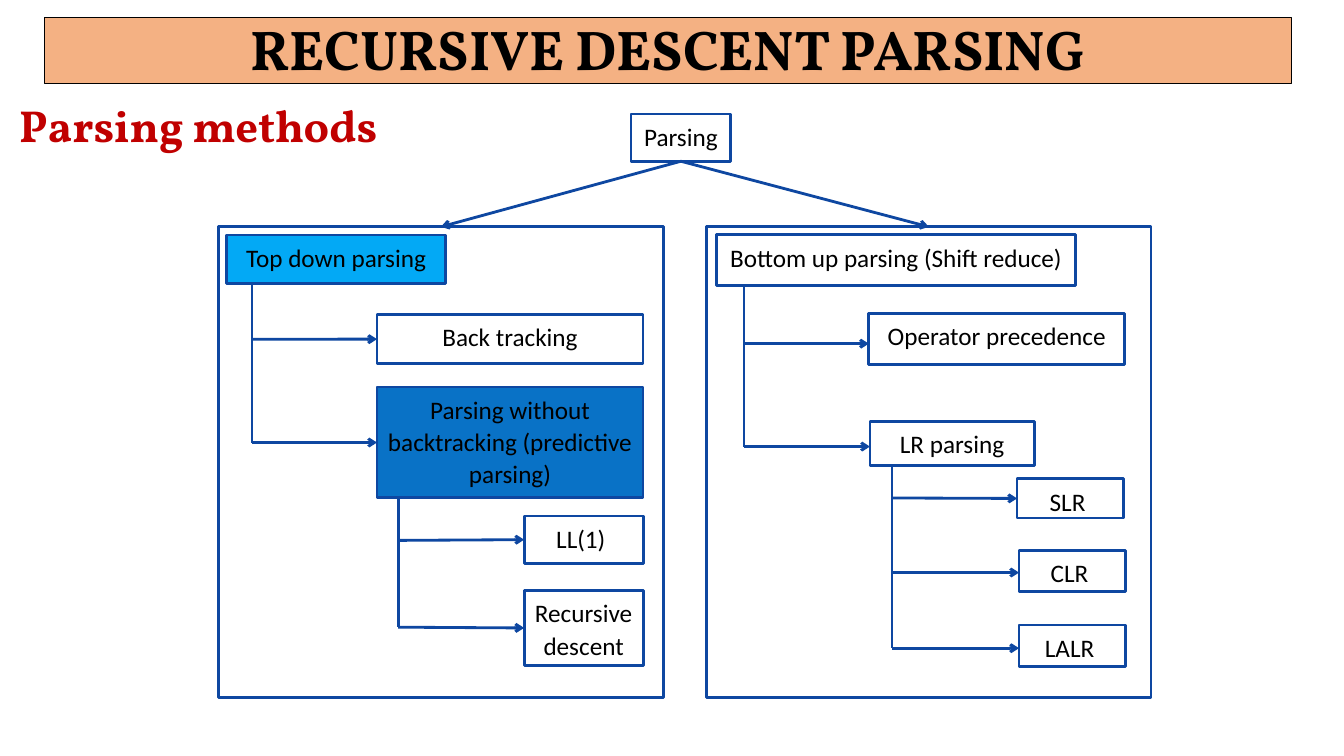
from pptx import Presentation
from pptx.dml.color import RGBColor
from pptx.enum import shapes, text
from pptx.oxml import parse_xml
from pptx.oxml.ns import nsdecls
from pptx.util import Pt

BLACK = RGBColor(0x00, 0x00, 0x00)
RED = RGBColor(0xC0, 0x00, 0x00)
PEACH = RGBColor(0xF4, 0xB1, 0x83)
NAVY = RGBColor(0x0E, 0x47, 0xA1)
SKY = RGBColor(0x03, 0xA9, 0xF5)
BLUE = RGBColor(0x09, 0x72, 0xC6)

TITLE = ("RECURSIVE DESCENT PARSING", (31.7, 12.2, 890.6, 47.5))
SUBTITLE = ("Parsing methods", (6.5, 70.6, 311.8, 56.2))

FRAMES = [(156.2, 162, 317.5, 336.2), (504.7, 162, 317.5, 336.2)]
BOXES = {
    "Parsing": (450.7, 81.4, 71.3, 33.8),
    "Top down parsing": (162, 167.8, 156.2, 34.6),
    "Back tracking": (269.3, 224.6, 190, 35.3),
    "Parsing without backtracking (predictive parsing)": (269.3, 276.5, 190, 79.2),
    "LL(1) ": (374.4, 368.6, 85, 33.8),
    "Recursive\ndescent": (374.4, 421.9, 85, 53.3),
    "Bottom up parsing (Shift reduce)": (511.9, 167.8, 256.3, 36),
    "Operator precedence": (620.6, 223.9, 182.9, 36.7),
    "LR parsing": (621.4, 301, 117.4, 31.7),
    "SLR ": (726.5, 342, 76.3, 28.1),
    "CLR ": (727.9, 393.1, 76.3, 29.5),
    "LALR ": (727.9, 446.4, 76.3, 29.5),
}
FILLS = {
    "Top down parsing": SKY,
    "Parsing without backtracking (predictive parsing)": BLUE,
}
BRANCHES = [
    ("Top down parsing", 180,
     {"Back tracking": 242.3,
      "Parsing without backtracking (predictive parsing)": 316.1}),
    ("Parsing without backtracking (predictive parsing)", 284.4,
     {"LL(1) ": 386, "Recursive\ndescent": 448}),
    ("Bottom up parsing (Shift reduce)", 531.4,
     {"Operator precedence": 245.5, "LR parsing": 319}),
    ("LR parsing", 637.2, {"SLR ": 355.7, "CLR ": 409, "LALR ": 463}),
]
JOIN_TOLERANCE = 1

LABEL_FONT = {"name": "Calibri", "size": Pt(18)}
TITLE_FONT = {"name": "Vollkorn", "size": Pt(40), "bold": True}
SUBTITLE_FONT = {"name": "Vollkorn", "size": Pt(32), "bold": True}
LABEL_PARAGRAPH = {"alignment": text.PP_ALIGN.CENTER, "line_spacing": 1.07}
TITLE_PARAGRAPH = {"alignment": text.PP_ALIGN.CENTER, "line_spacing": 0.9,
                   "space_before": Pt(0)}
SUBTITLE_PARAGRAPH = {"alignment": text.PP_ALIGN.LEFT, "line_spacing": 0.9,
                      "space_before": Pt(0)}
LABEL_FRAME = {"word_wrap": True, "vertical_anchor": text.MSO_ANCHOR.TOP,
               "margin_left": Pt(5), "margin_right": Pt(5)}
HEADING_FRAME = {"word_wrap": True, "vertical_anchor": text.MSO_ANCHOR.TOP,
                 "auto_size": text.MSO_AUTO_SIZE.NONE}


def assign(target, values):
    for name, value in values.items():
        setattr(target, name, value)


def write(shape, words, frame_format, paragraph_format, font_format, color):
    frame = shape.text_frame
    frame.text = words
    assign(frame, frame_format)
    for paragraph in frame.paragraphs:
        assign(paragraph, paragraph_format)
        for run in paragraph.runs:
            assign(run.font, font_format)
            run.font.color.rgb = color


def outline(line, color, width):
    line.color.rgb = color
    line.width = Pt(width)


def add_box(slide, area, fill=None):
    shape = slide.shapes.add_shape(shapes.MSO_SHAPE.RECTANGLE, *map(Pt, area))
    shape.shadow.inherit = False
    if fill is None:
        shape.fill.background()
    else:
        shape.fill.solid()
        shape.fill.fore_color.rgb = fill
    outline(shape.line, NAVY, 2)
    return shape


def add_line(slide, start, end, arrow=True):
    connector = slide.shapes.add_connector(
        shapes.MSO_CONNECTOR.STRAIGHT, *map(Pt, start + end))
    outline(connector.line, NAVY, 2)
    if arrow:
        connector.line._get_or_add_ln().append(
            parse_xml(f'<a:tailEnd {nsdecls("a")} type="arrow"/>'))
    connector._element.spPr.append(parse_xml(f'<a:effectLst {nsdecls("a")}/>'))
    return connector


def place(shape, area):
    assign(shape, dict(zip(("left", "top", "width", "height"), map(Pt, area))))


def add_headings(slide):
    title, subtitle = slide.shapes.title, slide.placeholders[1]
    place(title, TITLE[1])
    title.fill.solid()
    title.fill.fore_color.rgb = PEACH
    outline(title.line, BLACK, 0.75)
    write(title, TITLE[0], HEADING_FRAME, TITLE_PARAGRAPH, TITLE_FONT, BLACK)

    place(subtitle, SUBTITLE[1])
    write(subtitle, SUBTITLE[0], HEADING_FRAME, SUBTITLE_PARAGRAPH, SUBTITLE_FONT, RED)
    properties = subtitle.text_frame.paragraphs[0]._p.get_or_add_pPr()
    properties.set("marL", "0")
    properties.set("indent", "0")
    properties.append(parse_xml(f'<a:buNone {nsdecls("a")}/>'))


def add_tree(slide):
    frames = [add_box(slide, area) for area in FRAMES]

    boxes = {}
    for label, area in BOXES.items():
        boxes[label] = add_box(slide, area, FILLS.get(label))
        write(boxes[label], label, LABEL_FRAME, LABEL_PARAGRAPH, LABEL_FONT, BLACK)

    root_left, root_top, root_width, root_height = BOXES["Parsing"]
    root_end = (root_left + root_width / 2, root_top + root_height)
    for frame, (left, top, width, height) in zip(frames, FRAMES):
        arrow = add_line(slide, root_end, (left + width / 2, top))
        arrow.begin_connect(boxes["Parsing"], 2)
        arrow.end_connect(frame, 0)

    for parent, trunk, children in BRANCHES:
        for child, level in children.items():
            left, top, width, height = BOXES[child]
            arrow = add_line(slide, (trunk, level), (left, level))
            if abs(level - top - height / 2) < JOIN_TOLERANCE:
                arrow.end_connect(boxes[child], 1)
        bottom = BOXES[parent][1] + BOXES[parent][3]
        add_line(slide, (trunk, bottom), (trunk, max(children.values())), arrow=False)


def main():
    presentation = Presentation()
    presentation.slide_width = Pt(960)
    presentation.slide_height = Pt(540)
    slide = presentation.slides.add_slide(presentation.slide_layouts[1])
    add_headings(slide)
    add_tree(slide)
    presentation.save("out.pptx")


if __name__ == "__main__":
    main()
